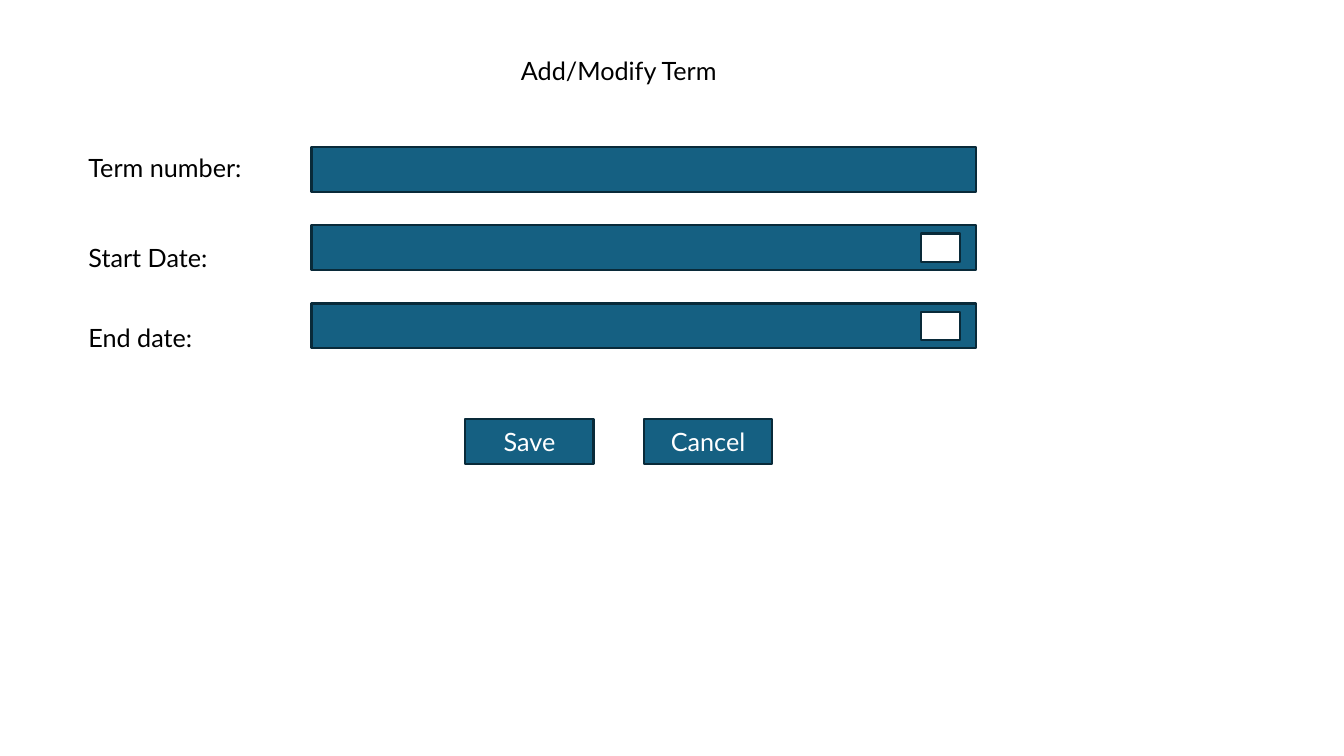
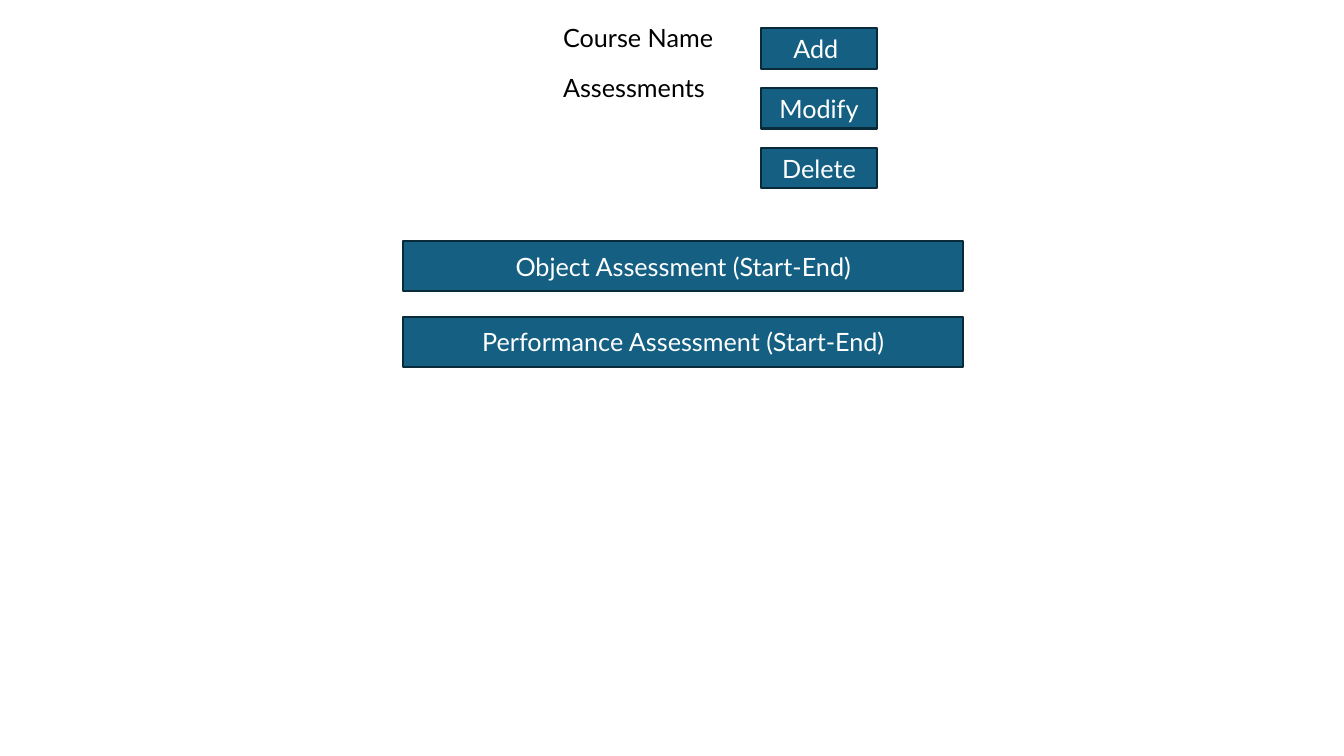
from pptx import Presentation
from pptx.dml.color import RGBColor
from pptx.enum.shapes import MSO_SHAPE
from pptx.enum.text import MSO_ANCHOR, MSO_AUTO_SIZE, PP_ALIGN
from pptx.util import Cm, Pt

BLUE = RGBColor(0x15, 0x60, 0x82)
NAVY = RGBColor(0x09, 0x2A, 0x39)
WHITE = RGBColor(0xFF, 0xFF, 0xFF)
BLACK = RGBColor(0x00, 0x00, 0x00)
FONT, SIZE = "Lato", Pt(18)

# Lengths are in centimetres.
TERM_TITLE = "Add/Modify Term"
TERM_FIELDS = [  # label, label top, has a date picker
    ("Term number:", 3.71, False),
    ("Start Date:", 5.99, True),
    ("End date:", 8.0, True),
]
TERM_BUTTONS = ["Save", "Cancel"]

COURSE_LABELS = [("Course Name", 0.43), ("Assessments", 1.7)]
COURSE_BUTTONS = ["Add ", "Modify", "Delete"]
ASSESSMENTS = [
    "Object Assessment (Start-End)",
    "Performance Assessment (Start-End)",
]


def set_text(tf, text, color, align):
    p = tf.paragraphs[0]
    p.text = text
    p.alignment = align
    p.font.name, p.font.size, p.font.color.rgb = FONT, SIZE, color


def add_label(s, text, left, top, width):
    tf = s.shapes.add_textbox(Cm(left), Cm(top), Cm(width), Cm(1.02)).text_frame
    tf.word_wrap = True
    tf.auto_size = MSO_AUTO_SIZE.SHAPE_TO_FIT_TEXT
    set_text(tf, text, BLACK, PP_ALIGN.LEFT)


def add_box(s, left, top, width, height, text="", fill=BLUE):
    sp = s.shapes.add_shape(MSO_SHAPE.RECTANGLE, Cm(left), Cm(top), Cm(width), Cm(height))
    sp.shadow.inherit = False
    sp.fill.solid()
    sp.fill.fore_color.rgb = fill
    sp.line.color.rgb = NAVY
    sp.line.width = Pt(1.5)
    if text:
        sp.text_frame.vertical_anchor = MSO_ANCHOR.MIDDLE
        set_text(sp.text_frame, text, WHITE, PP_ALIGN.CENTER)


def add_stack(s, texts, left, top, width, height, step):
    """Place captioned boxes below one another, step apart from top to top."""
    for i, text in enumerate(texts):
        add_box(s, left, top + i * step, width, height, text)


def build_term_form(s):
    add_label(s, TERM_TITLE, 12.88, 1.27, 6.22)
    height, picker_height = 1.12, 0.71
    for i, (label, label_top, has_picker) in enumerate(TERM_FIELDS):
        top = 3.71 + i * 1.97
        add_label(s, label, 1.98, label_top, 4.42)
        add_box(s, 7.85, top, 16.74, height)
        if has_picker:
            add_box(s, 23.22, top + (height - picker_height) / 2, 0.97, picker_height, fill=WHITE)
    for i, text in enumerate(TERM_BUTTONS):
        add_box(s, 11.73 + i * 4.5, 10.57, 3.23, height, text)


def build_assessment_list(s):
    for text, top in COURSE_LABELS:
        add_label(s, text, 13.94, top, 5.23)
    add_stack(s, COURSE_BUTTONS, 19.18, 0.71, 2.92, 1.02, step=1.51)
    add_stack(s, ASSESSMENTS, 10.16, 6.07, 14.12, 1.27, step=1.91)


def main():
    prs = Presentation()
    prs.slide_width, prs.slide_height = Cm(33.87), Cm(19.05)
    for build in (build_term_form, build_assessment_list):
        build(prs.slides.add_slide(prs.slide_layouts[6]))
    prs.save("out.pptx")


if __name__ == "__main__":
    main()
